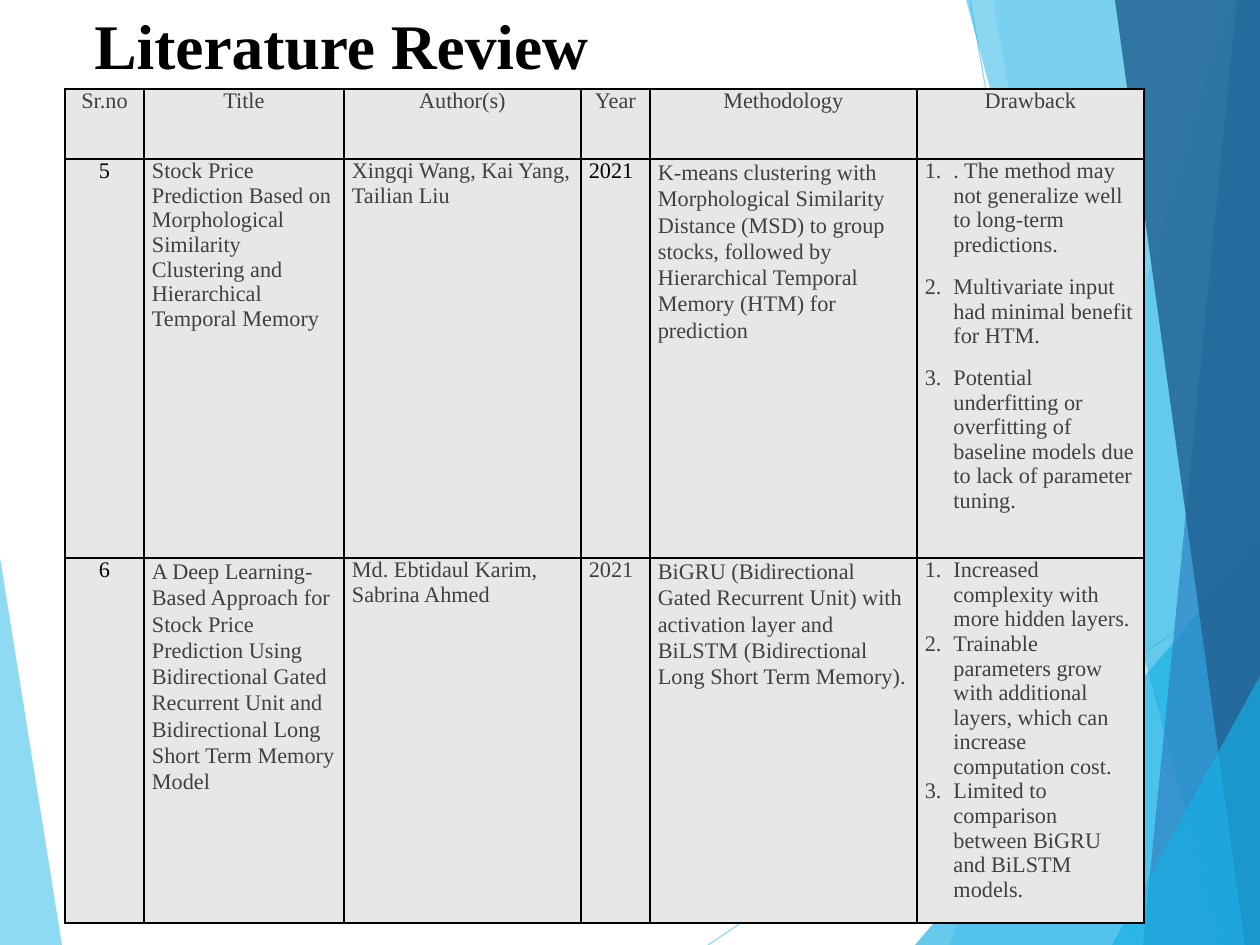
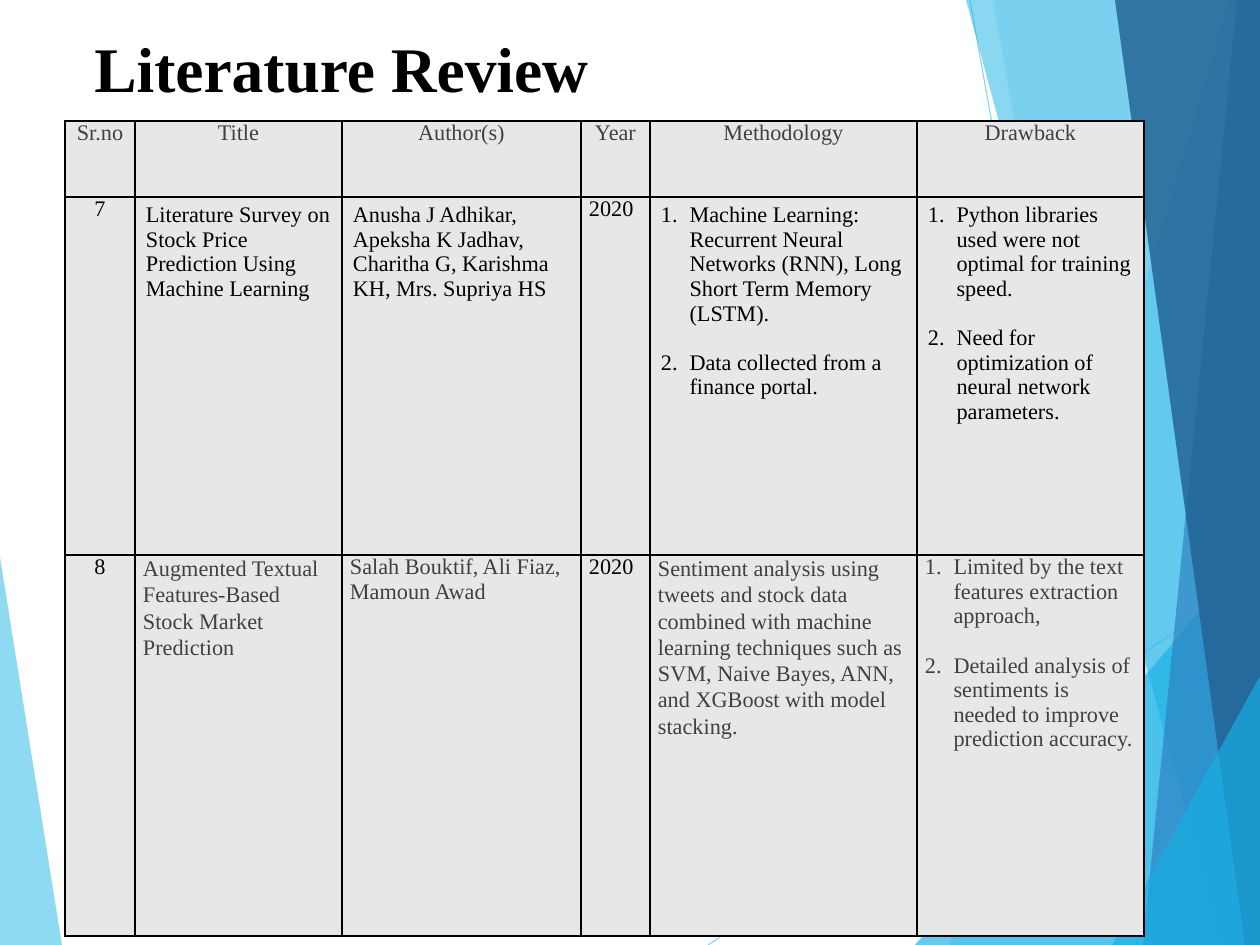
from lxml import etree
from pptx import Presentation
from pptx.dml.color import RGBColor
from pptx.enum import shapes, text
from pptx.oxml import ns
from pptx.util import Pt

PX = 8000
WIDTH, HEIGHT = 1260, 945
FONT = "Times New Roman"
BLACK = RGBColor(0x00, 0x00, 0x00)
GREY = RGBColor(0x40, 0x40, 0x40)
CELL_FILL = RGBColor(0xE7, 0xE7, 0xE7)
SKY = RGBColor(0x5F, 0xCB, 0xEF)
CYAN = RGBColor(0x17, 0xB0, 0xE4)
BLUE = RGBColor(0x2E, 0x83, 0xC3)
NAVY = RGBColor(0x22, 0x62, 0x92)

RIGHT_EDGE = [(WIDTH, HEIGHT), (WIDTH, 0)]
RAYS = [
    ((708, 945), (1260, 575)),
    ((970, 0), (1138, 945)),
]
FACETS = [
    ([(0, 557), (62, 945), (0, 945)], SKY, 70),
    ([(1229, 0), (950, 945)] + RIGHT_EDGE, SKY, 36),
    ([(993, 0), (1159, 945)] + RIGHT_EDGE, SKY, 20),
    ([(915, 945), (1260, 541), (1260, 945)], CYAN, 66),
    ([(966, 0), (1222, 945)] + RIGHT_EDGE, CYAN, 50),
    ([(1237, 0), (1143, 945)] + RIGHT_EDGE, BLUE, 70),
    ([(1115, 0), (1245, 945)] + RIGHT_EDGE, NAVY, 82),
    ([(1112, 945), (1260, 676), (1260, 945)], CYAN, 66),
]

STYLES = {
    "center": {"align": text.PP_ALIGN.CENTER},
    "plain": {},
    "loose": {"line": 1.07},
    "inset": {"margins": (11, 6)},
    "list": {"numbered": True},
    "list spaced": {"numbered": True, "gap": 11},
    "list wide": {"numbered": True, "gap": 15.5},
    "list inset": {"numbered": True, "gap": 15.5, "margins": (11, 6)},
}

HEADER = [([label], "center", GREY) for label in
          ("Sr.no", "Title", "Author(s)", "Year", "Methodology", "Drawback")]

REVIEWS = [
    {
        "title": "Literature Review",
        "title_top": 0,
        "table_top": 89,
        "columns": [79, 200, 237, 69, 267, 227],
        "rows": [70, 399, 365],
        "cells": [
            HEADER,
            [
                (["5"], "center", BLACK),
                (["Stock Price Prediction Based on Morphological Similarity "
                  "Clustering and Hierarchical Temporal Memory"], "plain", GREY),
                (["Xingqi Wang, Kai Yang, Tailian Liu"], "plain", GREY),
                (["2021"], "plain", BLACK),
                (["K-means clustering with Morphological Similarity Distance (MSD) "
                  "to group stocks, followed by Hierarchical Temporal Memory (HTM) "
                  "for prediction"], "loose", GREY),
                ([". The method may not generalize well to long-term predictions.",
                  "Multivariate input had minimal benefit for HTM.",
                  "Potential underfitting or overfitting of baseline models due to "
                  "lack of parameter tuning."], "list spaced", GREY),
            ],
            [
                (["6"], "center", BLACK),
                (["A Deep Learning-Based Approach for Stock Price Prediction Using "
                  "Bidirectional Gated Recurrent Unit and Bidirectional Long Short "
                  "Term Memory Model"], "loose", GREY),
                (["Md. Ebtidaul Karim, Sabrina Ahmed"], "plain", GREY),
                (["2021"], "plain", GREY),
                (["BiGRU (Bidirectional Gated Recurrent Unit) with activation layer "
                  "and\vBiLSTM (Bidirectional Long Short Term Memory)."], "loose", GREY),
                (["Increased complexity with more hidden layers.",
                  "Trainable parameters grow with additional layers, which can "
                  "increase computation cost.",
                  "Limited to comparison between BiGRU and BiLSTM models."],
                 "list", GREY),
            ],
        ],
    },
    {
        "title": "Literature Review",
        "title_top": 23,
        "table_top": 121,
        "columns": [70, 207, 239, 69, 267, 227],
        "rows": [76, 358, 381],
        "cells": [
            HEADER,
            [
                (["7"], "center", BLACK),
                (["Literature Survey on Stock Price Prediction Using Machine "
                  "Learning"], "inset", BLACK),
                (["Anusha J Adhikar, Apeksha K Jadhav, Charitha G, Karishma KH, "
                  "Mrs. Supriya HS"], "inset", BLACK),
                (["2020"], "plain", BLACK),
                (["Machine Learning: Recurrent Neural Networks (RNN), Long Short "
                  "Term Memory (LSTM).",
                  "Data collected from a finance portal."], "list inset", BLACK),
                (["Python libraries used were not optimal for training speed.",
                  "Need for optimization of neural network parameters."],
                 "list inset", BLACK),
            ],
            [
                (["8"], "center", BLACK),
                (["Augmented Textual Features-Based Stock Market Prediction"],
                 "loose", GREY),
                (["Salah Bouktif, Ali Fiaz, Mamoun Awad"], "plain", GREY),
                (["2020"], "plain", BLACK),
                (["Sentiment analysis using tweets and stock data combined with "
                  "machine learning techniques such as SVM, Naive Bayes, ANN, and "
                  "XGBoost with model stacking."], "loose", GREY),
                (["Limited by the text features extraction approach,",
                  "Detailed analysis of sentiments is needed to improve prediction "
                  "accuracy."], "list wide", GREY),
            ],
        ],
    },
]


def px(*values):
    return [round(value * PX) for value in values]


def sub(parent, tag, **attributes):
    return etree.SubElement(parent, ns.qn(tag), attributes)


def soften(shape, opacity):
    properties = shape.element.spPr
    color = next(properties.iter(ns.qn("a:srgbClr")))
    sub(color, "a:alpha", val=str(opacity * 1000))
    sub(properties, "a:effectLst")


def add_facet(s, points, color, opacity):
    builder = s.shapes.build_freeform(*points[0], scale=PX)
    builder.add_line_segments(points[1:], close=True)
    facet = builder.convert_to_shape()
    facet.fill.solid()
    facet.fill.fore_color.rgb = color
    facet.line.fill.background()
    soften(facet, opacity)
    return facet


def add_ray(s, start, end):
    ray = s.shapes.add_connector(shapes.MSO_CONNECTOR.STRAIGHT, *px(*start, *end))
    ray.line.color.rgb = SKY
    ray.line.width = Pt(0.75)
    soften(ray, 70)
    return ray


def decorate_layout(layout, s):
    backdrop = [add_facet(s, *FACETS[0])]
    backdrop += [add_ray(s, *ray) for ray in RAYS]
    backdrop += [add_facet(s, *facet) for facet in FACETS[1:]]
    for number, shape in enumerate(backdrop, 100):
        shape.element.xpath("./*/p:cNvPr")[0].set("id", str(number))
        layout.shapes.element.append(shape.element)


def set_title(s, review):
    title = s.shapes.title
    top = review["title_top"]
    title.left, title.top, title.width, title.height = px(83, top, 874, 266 - top)
    tf = title.text_frame
    tf.text = review["title"]
    tf.auto_size = text.MSO_AUTO_SIZE.NONE
    tf.vertical_anchor = text.MSO_ANCHOR.TOP
    p = tf.paragraphs[0]
    p.alignment = text.PP_ALIGN.LEFT
    set_font(p.runs[0].font, 40, BLACK, True)


def set_font(font, size, color, bold=False):
    font.name = FONT
    font.size = Pt(size)
    font.bold = bold
    font.color.rgb = color


def add_borders(cell):
    properties = cell._tc.get_or_add_tcPr()
    for side in ("L", "R", "T", "B"):
        line = sub(properties, f"a:ln{side}", w=str(Pt(1)))
        sub(sub(line, "a:solidFill"), "a:srgbClr", val=str(BLACK))


def number_paragraph(p):
    properties = p._p.get_or_add_pPr()
    indent = px(28.6)[0]
    properties.set("marL", str(indent))
    properties.set("indent", str(-indent))
    sub(properties, "a:buFont", typeface="+mj-lt")
    sub(properties, "a:buAutoNum", type="arabicPeriod")


def fill_cell(cell, lines, style_name, color):
    style = STYLES[style_name]
    add_borders(cell)
    cell.fill.solid()
    cell.fill.fore_color.rgb = CELL_FILL
    across, down = px(*style.get("margins", (8, 0)))
    cell.margin_left = cell.margin_right = across
    cell.margin_top = cell.margin_bottom = down
    tf = cell.text_frame
    tf.text = "\n".join(lines)
    for index, p in enumerate(tf.paragraphs):
        if style.get("numbered"):
            number_paragraph(p)
        p.alignment = style.get("align", text.PP_ALIGN.LEFT)
        p.line_spacing = style.get("line", 1.0)
        if index:
            p.space_before = Pt(style.get("gap", 0))
        set_font(p.font, 14, color)
        for r in p.runs:
            set_font(r.font, 14, color)


def add_review_table(s, review):
    columns, rows = review["columns"], review["rows"]
    frame = s.shapes.add_table(
        len(rows), len(columns),
        *px(65, review["table_top"], sum(columns), sum(rows)))
    table = frame.table
    table.first_row = table.horz_banding = False
    for column, width in zip(table.columns, px(*columns)):
        column.width = width
    for row, height, contents in zip(table.rows, px(*rows), review["cells"]):
        row.height = height
        for cell, content in zip(row.cells, contents):
            fill_cell(cell, *content)


def main():
    prs = Presentation()
    prs.slide_width, prs.slide_height = px(WIDTH, HEIGHT)
    layout = prs.slide_layouts[5]
    for index, review in enumerate(REVIEWS):
        s = prs.slides.add_slide(layout)
        if index == 0:
            decorate_layout(layout, s)
        set_title(s, review)
        add_review_table(s, review)
    prs.save("out.pptx")


if __name__ == "__main__":
    main()
